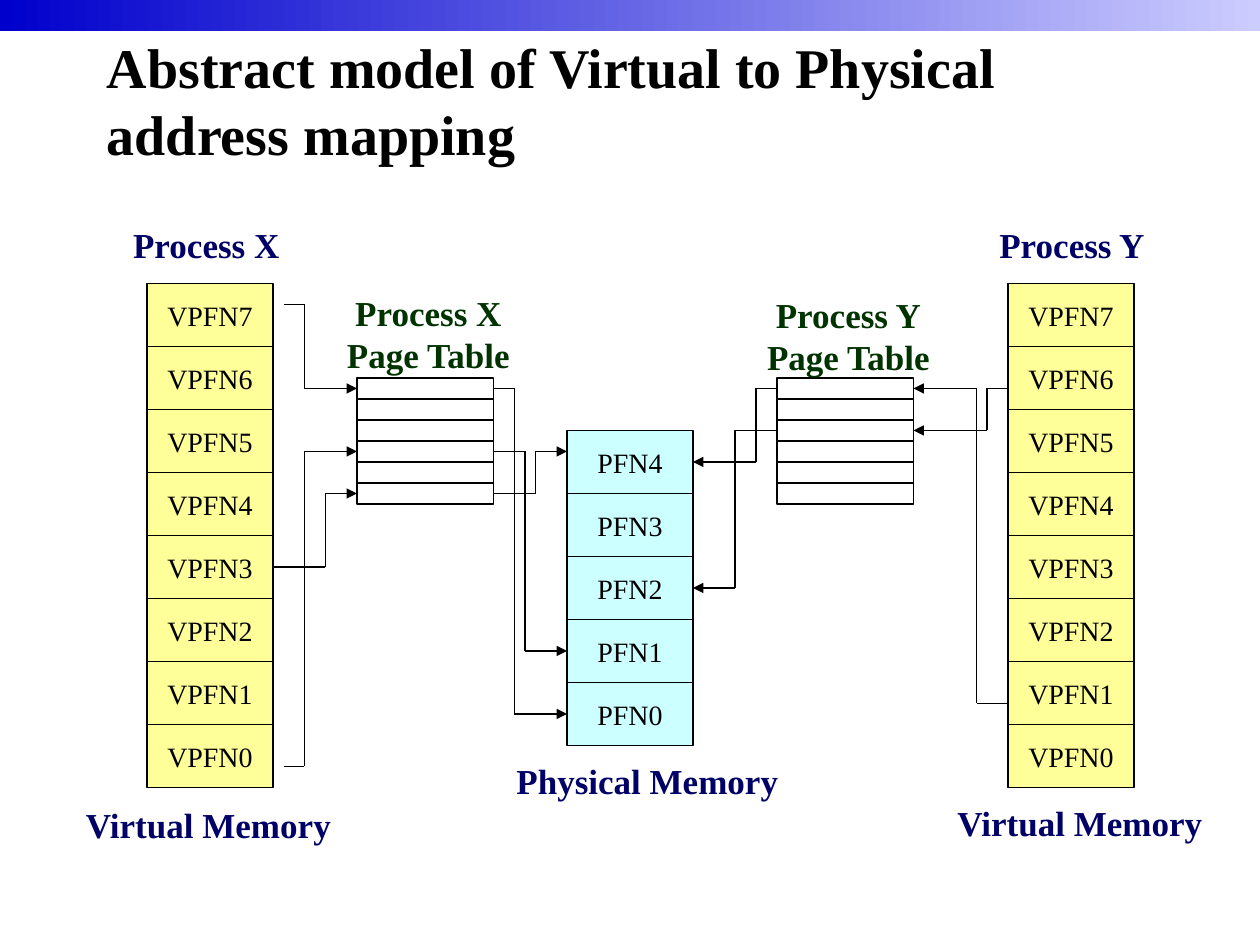
from pptx import Presentation
from pptx.dml.color import RGBColor
from pptx.enum.shapes import MSO_CONNECTOR, MSO_SHAPE
from pptx.enum.text import MSO_ANCHOR, PP_ALIGN
from pptx.oxml.ns import qn
from pptx.util import Inches, Pt
from lxml.etree import SubElement

COLORS = {name: RGBColor.from_string(value) for name, value in {
    "black": "000000", "navy": "000066", "green": "003300",
    "virtual": "FFFF99", "physical": "CCFFFF",
    "bar_left": "0000CC", "bar_right": "CCCCFF",
}.items()}

prs = Presentation()
prs.slide_width, prs.slide_height = Inches(10), Inches(7.5)
U = prs.slide_width // 120  # the slide is a grid of 120 columns by 90 rows
s = prs.slides.add_slide(prs.slide_layouts[6])
sides = {}  # middle of a rectangle's side -> (shape, connection site)


def write(sp, text, size, color, bold=False, align=PP_ALIGN.LEFT,
          anchor=MSO_ANCHOR.TOP, wrap=False):
    tf = sp.text_frame
    tf.word_wrap = wrap
    tf.vertical_anchor = anchor
    for i, words in enumerate(text.split("\n")):
        p = tf.add_paragraph() if i else tf.paragraphs[0]
        p.alignment = align
        r = p.add_run()
        r.text = words
        r.font.name = "Times New Roman"
        r.font.size = Pt(size)
        r.font.bold = bold
        r.font.color.rgb = COLORS[color]


def line(x1, y1, x2, y2, arrow=False):
    """Draw a line between grid points, joined to any side middle it meets."""
    c = s.shapes.add_connector(MSO_CONNECTOR.STRAIGHT, x1 * U, y1 * U, x2 * U, y2 * U)
    c.line.color.rgb = COLORS["black"]
    c.line.width = Pt(0.75)
    if arrow:
        SubElement(c.line._get_or_add_ln(), qn("a:tailEnd"), type="triangle")
    SubElement(c._element.spPr, qn("a:effectLst"))
    if (x1, y1) in sides:
        c.begin_connect(*sides[x1, y1])
    if (x2, y2) in sides:
        c.end_connect(*sides[x2, y2])


# Top bar and title
bar = s.shapes.add_shape(MSO_SHAPE.RECTANGLE, 0, 0, 120 * U, 3 * U)
bar.shadow.inherit = False
bar.line.fill.background()
bar.fill.gradient()
bar.fill.gradient_angle = 0
for stop, name in zip(bar.fill.gradient_stops, ("bar_left", "bar_right")):
    stop.color.rgb = COLORS[name]
title = s.shapes.add_textbox(9 * U, 2 * U, 102 * U, 15 * U)
write(title, "Abstract model of Virtual to Physical address mapping", 32, "black",
      bold=True, anchor=MSO_ANCHOR.MIDDLE, wrap=True)

# Memory frames and page tables: left, top, width, height, fill, text
boxes = [(x, 27 + 6 * i, 12, 6, "virtual", f"VPFN{7 - i}")
         for x in (14, 96) for i in range(8)]
boxes += [(54, 41 + 6 * i, 12, 6, "physical", f"PFN{4 - i}") for i in range(5)]
boxes += [(x, 36, 13, 12, None, "") for x in (34, 74)]
for x, y, w, h, fill, text in boxes:
    sp = s.shapes.add_shape(MSO_SHAPE.RECTANGLE, x * U, y * U, w * U, h * U)
    sp.shadow.inherit = False
    sp.line.color.rgb = COLORS["black"]
    sp.line.width = Pt(0.75)
    if fill:
        sp.fill.solid()
        sp.fill.fore_color.rgb = COLORS[fill]
        write(sp, text, 16, "black", align=PP_ALIGN.CENTER, anchor=MSO_ANCHOR.MIDDLE)
    else:
        sp.fill.background()
    sides[x, y + h // 2] = (sp, 1)
    sides[x + w, y + h // 2] = (sp, 3)

# Page table rows
for x in (34, 74):
    for y in range(38, 48, 2):
        line(x, y, x + 13, y)

# Mappings: start x, start y, bend x, end x, end y
for x1, y1, bend, x2, y2 in [
    (27, 29, 29, 34, 37), (27, 73, 29, 34, 43), (26, 54, 31, 34, 47),
    (96, 37, 94, 87, 41), (96, 67, 93, 87, 37),
    (47, 37, 49, 54, 68), (47, 43, 50, 54, 62), (47, 47, 51, 54, 43),
    (74, 37, 72, 66, 44), (74, 41, 70, 66, 56),
]:
    line(x1, y1, bend, y1)
    line(bend, y1, bend, y2)
    line(bend, y2, x2, y2, arrow=True)

# Captions: left, top, width, height, colour, alignment, text
for x, y, w, h, color, align, text in [
    (11.5, 20.7, 17, 5.3, "navy", PP_ALIGN.LEFT, "Process X"),
    (94, 20.7, 17, 5.3, "navy", PP_ALIGN.LEFT, "Process Y"),
    (31.3, 27.2, 19, 9.2, "green", PP_ALIGN.CENTER, "Process X\nPage Table"),
    (71.3, 27.4, 19, 9.2, "green", PP_ALIGN.CENTER, "Process Y\nPage Table"),
    (7, 75.9, 26.5, 5.3, "navy", PP_ALIGN.LEFT, "Virtual Memory"),
    (90, 75.7, 26.5, 5.3, "navy", PP_ALIGN.LEFT, "Virtual Memory"),
    (48, 71.7, 28, 5.3, "navy", PP_ALIGN.LEFT, "Physical Memory"),
]:
    tb = s.shapes.add_textbox(*(int(v * U) for v in (x, y, w, h)))
    write(tb, text, 20, color, bold=True, align=align, wrap=True)

prs.save("out.pptx")
